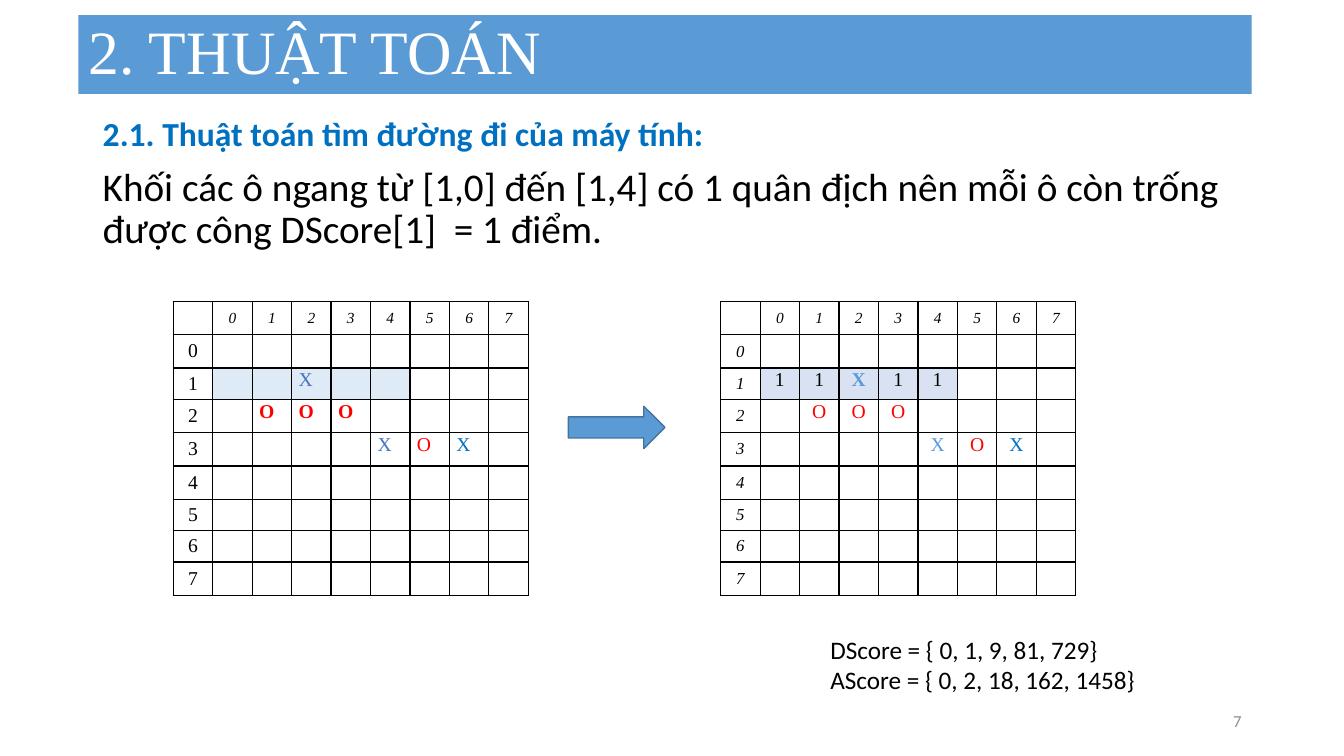
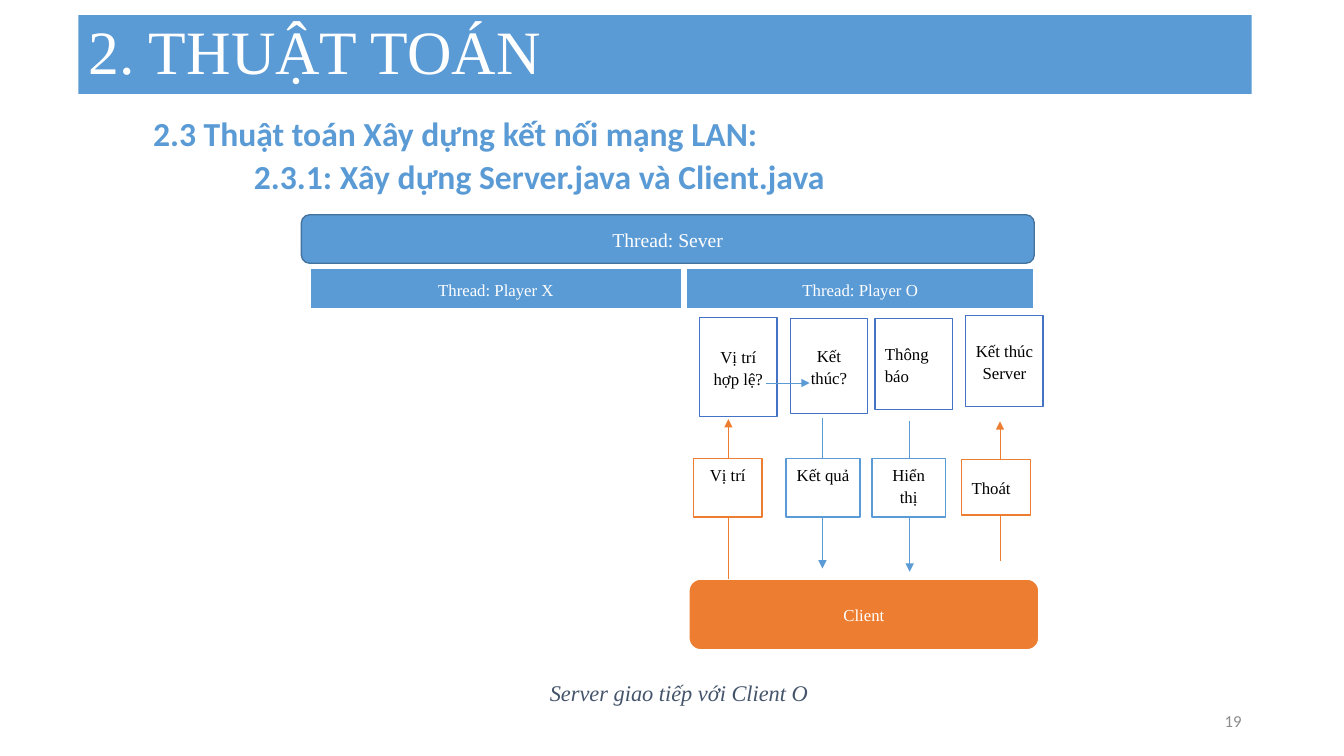
from pptx import Presentation
from pptx.dml.color import RGBColor
from pptx.enum.shapes import MSO_CONNECTOR as CONN, MSO_SHAPE as SHAPE
from pptx.enum.text import MSO_ANCHOR as ANCHOR, MSO_AUTO_SIZE as AUTO, PP_ALIGN as ALIGN
from pptx.oxml.ns import qn
from pptx.util import Pt
from lxml.etree import SubElement, Element

SERIF, SANS = "Times New Roman", "Calibri"
BLUE, DEEP, INDIGO, EDGE = "5B9BD5", "0070C0", "4472C4", "43739E"
ORANGE, RED, BLACK, WHITE = "ED7D31", "FF0000", "000000", "FFFFFF"
GREY, SLATE, PALE, LILAC = "8C8C8C", "44546A", "DEEBF7", "D9E2F3"
CENTER, LEFT, RIGHT = ALIGN.CENTER, ALIGN.LEFT, ALIGN.RIGHT
MIDDLE, TOP = ANCHOR.MIDDLE, ANCHOR.TOP


def rgb(color):
    return RGBColor.from_string(color)


def add_run(p, text, size, color, font=SERIF, bold=False, italic=False):
    r = p.add_run()
    r.text = text
    r.font.name, r.font.size = font, Pt(size)
    r.font.bold, r.font.italic = bold, italic
    r.font.color.rgb = rgb(color)


def place(sp, x, y, w, h):
    sp.left, sp.top, sp.width, sp.height = Pt(x), Pt(y), Pt(w), Pt(h)


def set_line(sp, color, width):
    sp.line.color.rgb = rgb(color)
    sp.line.width = Pt(width)


def frame(sp, anchor=TOP):
    tf = sp.text_frame
    tf.word_wrap, tf.auto_size, tf.vertical_anchor = True, AUTO.NONE, anchor
    return tf


def add_text(s, box, lines, size, color, font=SERIF, italic=False, align=LEFT, anchor=TOP):
    sp = s.shapes.add_textbox(*map(Pt, box))
    tf = frame(sp, anchor)
    for i, line in enumerate(lines):
        p = tf.add_paragraph() if i else tf.paragraphs[0]
        p.alignment = align
        add_run(p, line, size, color, font, italic=italic)
    return tf


def add_box(s, kind, box, fill, line=None, width=1, text="", size=12, color=BLACK,
            align=CENTER, anchor=MIDDLE):
    sp = s.shapes.add_shape(kind, *map(Pt, box))
    sp.shadow.inherit = False
    sp.fill.solid()
    sp.fill.fore_color.rgb = rgb(fill)
    set_line(sp, line or fill, width)
    if kind == SHAPE.ROUNDED_RECTANGLE:
        sp.adjustments[0] = 0.17
    if text:
        p = frame(sp, anchor).paragraphs[0]
        p.alignment, p.line_spacing = align, 1.07
        add_run(p, text, size, color)


def add_arrow(s, x1, y1, x2, y2, color):
    cn = s.shapes.add_connector(CONN.STRAIGHT, *map(Pt, (x1, y1, x2, y2)))
    set_line(cn, color, 0.5)
    SubElement(cn.line._get_or_add_ln(), qn("a:tailEnd"), type="triangle")
    SubElement(cn._element.spPr, qn("a:effectLst"))


def add_base(prs, number, lines):
    s = prs.slides.add_slide(prs.slide_layouts[1])
    title, body = s.placeholders
    place(title, 56, 10.8, 838, 56.2)
    title.fill.solid()
    title.fill.fore_color.rgb = rgb(BLUE)
    p = frame(title, MIDDLE).paragraphs[0]
    p.alignment, p.line_spacing = LEFT, 0.9
    add_run(p, "2. THUẬT TOÁN", 44, WHITE)

    place(body, 66.2, 80, 828, 410)
    tf = frame(body)
    for i, (text, size, color, bold, indent, before) in enumerate(lines):
        p = tf.add_paragraph() if i else tf.paragraphs[0]
        p.alignment, p.line_spacing, p.space_before = LEFT, 0.9, Pt(before)
        pPr = p._p.get_or_add_pPr()
        pPr.set("marL", str(Pt(indent)))
        pPr.set("indent", "0")
        SubElement(pPr, qn("a:buNone"))
        add_run(p, text, size, color, SANS, bold)

    add_text(s, (678, 500.4, 216, 28.8), [number], 12, GREY, SANS, align=RIGHT, anchor=MIDDLE)
    return s


def set_borders(cell):
    tcPr = cell._tc.get_or_add_tcPr()
    for i, side in enumerate(("lnL", "lnR", "lnT", "lnB")):
        ln = Element(qn(f"a:{side}"), w=str(Pt(1)))
        fill = SubElement(ln, qn("a:solidFill"))
        SubElement(fill, qn("a:srgbClr"), val=BLACK)
        tcPr.insert(i, ln)


def add_board(s, x, y, label_size, label_italic, shade, align, marks):
    n, step = 9, 28.2
    heights = [22.4 if r in (2, 6, 7) else 23.8 for r in range(n)]
    table = s.shapes.add_table(n, n, Pt(x), Pt(y), Pt(n * step), Pt(sum(heights))).table
    table.first_row = table.horz_banding = False
    for c in range(n):
        table.columns[c].width = Pt(step)
    for r, height in enumerate(heights):
        table.rows[r].height = Pt(height)
        for c in range(n):
            cell = table.cell(r, c)
            cell.margin_left = cell.margin_right = Pt(5)
            cell.margin_top = cell.margin_bottom = 0
            if r == 2 and 1 <= c <= 5:
                cell.fill.solid()
                cell.fill.fore_color.rgb = rgb(shade)
            else:
                cell.fill.background()
            set_borders(cell)
            p = cell.text_frame.paragraphs[0]
            if (r == 0) != (c == 0):
                cell.vertical_anchor = MIDDLE
                p.alignment = CENTER
                size, italic = (11, True) if r == 0 else (label_size, label_italic)
                add_run(p, str(r + c - 1), size, BLACK, italic=italic)
            elif (r - 1, c - 1) in marks:
                p.alignment, p.line_spacing = align, 1.07
                text, color, bold = marks[r - 1, c - 1]
                add_run(p, text, 14, color, bold=bold)


def add_thread_diagram(s, x, y):
    rect, rounded = SHAPE.RECTANGLE, SHAPE.ROUNDED_RECTANGLE

    def at(dx, dy, w, h):
        return x + dx, y + dy, w, h

    def arrow(x1, y1, x2, y2, color):
        add_arrow(s, x + x1, y + y1, x + x2, y + y2, color)

    add_box(s, rounded, at(0, 0, 523.5, 34.6), BLUE, EDGE, 1, "Thread: Sever", 14, WHITE)
    for kind, box, fill, text in (
            (rect, (5.8, 38.2, 266.4, 29.5), BLUE, "Thread: Player X"),
            (rect, (275, 38.2, 248.4, 29.5), BLUE, "Thread: Player O"),
            (rounded, (276.5, 260, 250.5, 51), ORANGE, "Client")):
        add_box(s, kind, at(*box), fill, WHITE, 1.5, text, color=WHITE)

    for ax, start, end, color in ((305, 260, 146, ORANGE), (372.2, 145.4, 252.7, BLUE),
                                  (434.5, 147.6, 255, BLUE), (499, 247, 147.6, ORANGE)):
        arrow(ax, start, ax, end, color)

    for dx, dy, h, text, align in ((284.4, 73.4, 70.6, "Vị trí hợp lệ?", CENTER),
                                   (349.2, 74.2, 67.7, "Kết thúc?", CENTER),
                                   (409.7, 74.2, 64.8, "Thông báo", LEFT),
                                   (474.5, 72, 64.8, "Kết thúc Server", CENTER)):
        add_box(s, rect, at(dx, dy, 55.4, h), WHITE, INDIGO, 1, text, align=align)

    for box, line, text, align, anchor in (
            ((280, 174.2, 49, 41.8), ORANGE, "Vị trí", CENTER, TOP),
            ((346.3, 174.2, 52.6, 41.8), BLUE, "Kết quả", CENTER, TOP),
            ((407.5, 174.2, 52.6, 41.8), BLUE, "Hiển thị", CENTER, TOP),
            ((471.6, 175, 49, 39.6), ORANGE, "Thoát", LEFT, MIDDLE)):
        add_box(s, rect, at(*box), WHITE, line, 1, text, align=align, anchor=anchor)

    arrow(332, 120.2, 363, 120.2, BLUE)


def build_score_slide(prs):
    s = add_base(prs, "7", [
        ("2.1. Thuật toán tìm đường đi của máy tính:", 24, DEEP, True, 0, 10),
        ("Khối các ô ngang từ [1,0] đến [1,4] có 1 quân địch nên mỗi ô còn trống "
         "được công DScore[1]\u00a0 = 1 điểm.", 28, BLACK, False, 0, 10)])
    before = {(1, 2): ("X", INDIGO, False), (3, 4): ("X", INDIGO, False)}
    after = {(1, c): ("1", BLACK, False) for c in (0, 1, 3, 4)}
    after.update({(1, 2): ("X", BLUE, True), (3, 4): ("X", BLUE, False)})
    for marks, bold in ((before, True), (after, False)):
        marks.update({(2, c): ("O", RED, bold) for c in (1, 2, 3)})
        marks.update({(3, 5): ("O", RED, False), (3, 6): ("X", DEEP, False)})
    add_board(s, 123.8, 215.3, 14, False, PALE, LEFT, before)
    add_board(s, 514.8, 215.3, 12, True, LILAC, CENTER, after)
    add_box(s, SHAPE.RIGHT_ARROW, (406, 290.2, 69, 30.2), BLUE, EDGE)
    add_text(s, (586, 449.3, 264, 51), ["DScore = { 0, 1, 9, 81, 729}",
                                        "AScore = { 0, 2, 18, 162, 1458}"], 18, BLACK, SANS)


def build_network_slide(prs):
    s = add_base(prs, "19", [
        ("2.3 Thuật toán Xây dựng kết nối mạng LAN:", 24, BLUE, True, 36, 5),
        ("2.3.1: Xây dựng Server.java và Client.java", 24, BLUE, True, 108, 5)])
    add_thread_diagram(s, 215.3, 153.4)
    tf = add_text(s, (215, 485.3, 540, 19.4), ["Server giao tiếp với Client O"], 16, SLATE,
                  italic=True, align=CENTER)
    tf.margin_top = tf.margin_bottom = 0


def main():
    prs = Presentation()
    prs.slide_width, prs.slide_height = Pt(960), Pt(540)
    build_score_slide(prs)
    build_network_slide(prs)
    prs.save("out.pptx")


if __name__ == "__main__":
    main()
